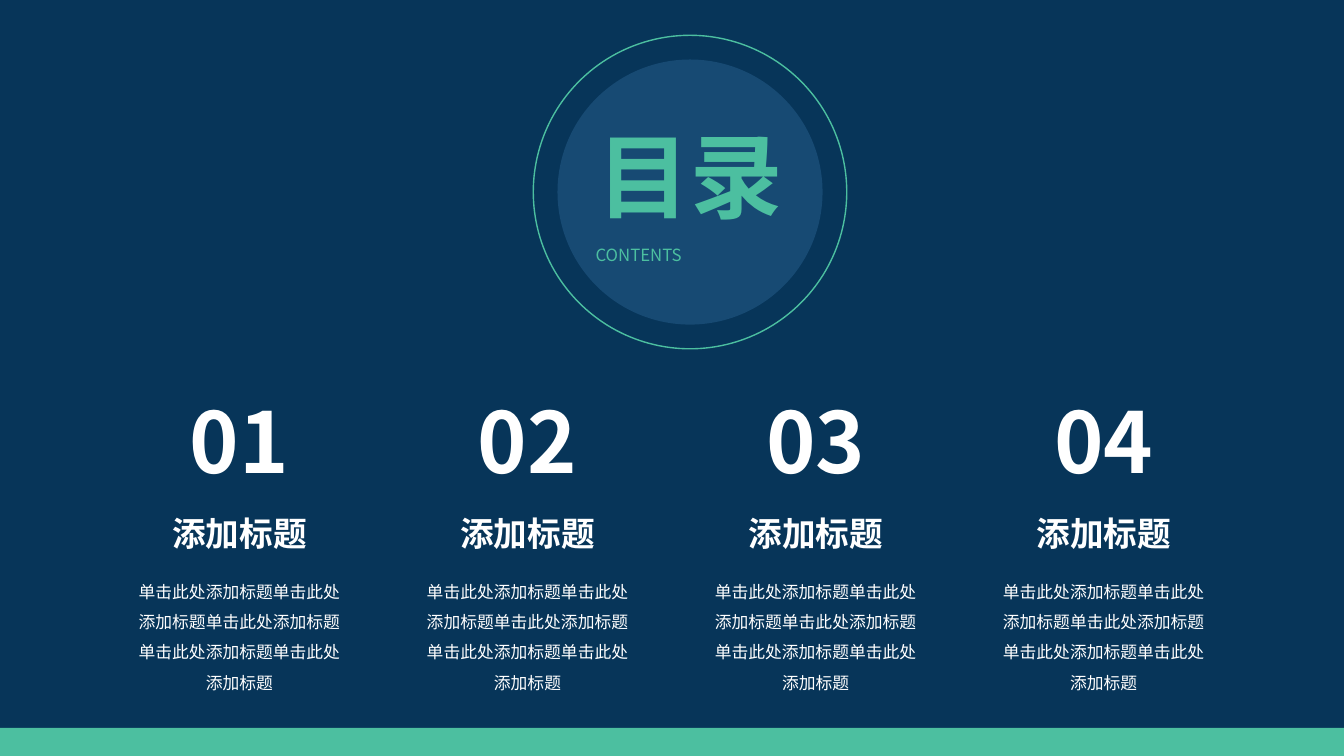
from dataclasses import dataclass

from lxml.etree import SubElement
from pptx import Presentation
from pptx.dml.color import RGBColor
from pptx.enum.shapes import MSO_SHAPE
from pptx.enum.text import MSO_ANCHOR, MSO_AUTO_SIZE, PP_ALIGN
from pptx.oxml.ns import qn
from pptx.util import Cm, Pt


@dataclass(frozen=True)
class Theme:
    font: str = "Noto Sans CJK SC"
    navy: RGBColor = RGBColor(0x07, 0x35, 0x59)
    blue: RGBColor = RGBColor(0x17, 0x4A, 0x73)
    green: RGBColor = RGBColor(0x4C, 0xBF, 0xA0)
    white: RGBColor = RGBColor(0xFF, 0xFF, 0xFF)
    title: int = 66
    number: int = 60
    heading: int = 24
    body: int = 12


THEME = Theme()
WIDTH, HEIGHT = 33.87, 19.05
SECTIONS = [
    (f"{number:02}", "添加标题", "单击此处添加标题" * 5) for number in range(1, 5)
]


def add_plain_shape(slide, kind, box, fill=None, line=None):
    shape = slide.shapes.add_shape(kind, *map(Cm, box))
    shape.shadow.inherit = False
    if fill is None:
        shape.fill.background()
    else:
        shape.fill.solid()
        shape.fill.fore_color.rgb = fill
    if line is None:
        shape.line.fill.background()
    else:
        shape.line.color.rgb = line
        shape.line.width = Pt(1)


def write(holder, text, size, color, bold=False, align=PP_ALIGN.CENTER, spacing=1.0):
    frame = holder.text_frame
    frame.word_wrap = True
    frame.auto_size = MSO_AUTO_SIZE.SHAPE_TO_FIT_TEXT
    frame.vertical_anchor = MSO_ANCHOR.TOP
    paragraph = frame.paragraphs[0]
    paragraph.alignment = align
    paragraph.line_spacing = spacing
    paragraph.space_before = Pt(0)
    run = paragraph.add_run()
    run.text = text
    run.font.size = Pt(size)
    run.font.bold = bold
    run.font.color.rgb = color
    run.font.name = THEME.font
    SubElement(run.font._element, qn("a:ea"), typeface=THEME.font)


def add_label(slide, box, *content, **style):
    write(slide.shapes.add_textbox(*map(Cm, box)), *content, **style)


def add_backdrop(slide, width, height):
    band = 0.71
    add_plain_shape(slide, MSO_SHAPE.RECTANGLE, (0, 0, width, height), THEME.navy)
    add_plain_shape(
        slide, MSO_SHAPE.RECTANGLE, (0, height - band, width, band), THEME.green
    )


def add_title_badge(slide, left, top, diameter):
    inset = 0.61
    disc = diameter - 2 * inset
    add_plain_shape(
        slide, MSO_SHAPE.OVAL, (left + inset, top + inset, disc, disc), THEME.blue
    )
    add_plain_shape(
        slide, MSO_SHAPE.OVAL, (left, top, diameter, diameter), line=THEME.green
    )
    title = slide.shapes.title
    title.left, title.top = Cm(left + inset), Cm(top + 1.98)
    title.width, title.height = Cm(disc), Cm(3.07)
    write(title, "目录", THEME.title, THEME.green, bold=True)
    add_label(
        slide, (left + 1.32, top + 5.16, 5.28, 0.76),
        "CONTENTS", THEME.body, THEME.green, align=PP_ALIGN.JUSTIFY,
    )


def add_section(slide, left, top, width, section):
    number, heading, body = section
    rows = [
        (number, THEME.number, 0, 3.3, 2.82, True, 1.0),
        (heading, THEME.heading, 3.12, 4.55, 1.27, True, 1.0),
        (body, THEME.body, 4.6, width, 3.25, False, 1.5),
    ]
    for text, size, offset, row_width, height, bold, spacing in rows:
        box = (left + (width - row_width) / 2, top + offset, row_width, height)
        add_label(slide, box, text, size, THEME.white, bold=bold, spacing=spacing)


def add_contents_slide(deck):
    slide = deck.slides.add_slide(deck.slide_layouts[5])
    add_backdrop(slide, WIDTH, HEIGHT)
    add_title_badge(slide, 13.44, 0.89, 7.9)
    title = slide.shapes.title
    slide.shapes._spTree.append(title._element)
    for column, section in enumerate(SECTIONS):
        add_section(slide, 3.05 + column * 7.26, 9.68, 5.97, section)


def main():
    deck = Presentation()
    deck.slide_width, deck.slide_height = Cm(WIDTH), Cm(HEIGHT)
    add_contents_slide(deck)
    deck.save("out.pptx")


if __name__ == "__main__":
    main()
